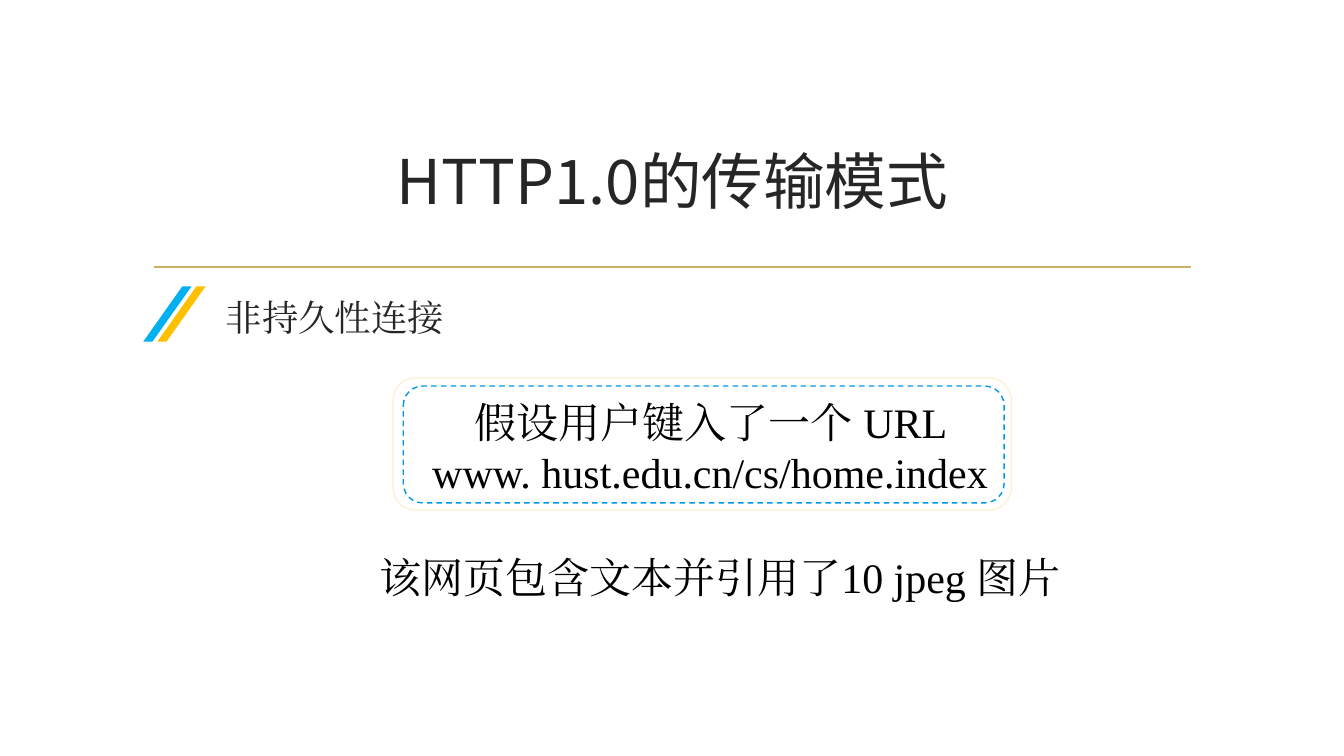
from pptx import Presentation
from pptx.dml.color import RGBColor
from pptx.enum.dml import MSO_LINE
from pptx.enum.shapes import MSO_CONNECTOR, MSO_SHAPE
from pptx.enum.text import MSO_ANCHOR, PP_ALIGN
from pptx.oxml.ns import qn
from pptx.util import Inches, Pt
from lxml import etree

STRAIGHT = MSO_CONNECTOR.STRAIGHT
SLANT, ROUNDED = MSO_SHAPE.PARALLELOGRAM, MSO_SHAPE.ROUNDED_RECTANGLE
DASH = MSO_LINE.DASH
TOP, MIDDLE = MSO_ANCHOR.TOP, MSO_ANCHOR.MIDDLE
LEFT, CENTER = PP_ALIGN.LEFT, PP_ALIGN.CENTER

COLORS = {"ink": "262626", "black": "000000", "white": "FFFFFF", "gold": "CBAF62",
          "blue": "00B0F0", "amber": "FFC000", "cream": "FEF1D6", "dash": "0096EF"}
SANS, SERIF = "Noto Sans CJK SC", "Times New Roman"


def color(name):
    """Return the named palette colour."""
    return RGBColor.from_string(COLORS[name])


def add_text(page, box, text, size, ink="black", font=SERIF, align=CENTER, anchor=TOP):
    """Write one wrapped paragraph in the given box."""
    frame = page.shapes.add_textbox(*map(Inches, box)).text_frame
    frame.word_wrap = True
    frame.vertical_anchor = anchor
    para = frame.paragraphs[0]
    para.alignment = align
    span = para.add_run()
    span.text = text
    for name, value in {"size": Pt(size), "name": font}.items():
        setattr(span.font, name, value)
    span.font.color.rgb = color(ink)
    east_asian = etree.SubElement(span.font._element, qn("a:ea"))
    east_asian.set("typeface", font)


def add_panel(page, kind, box, fill=None, outline=None, dash=None, adjustment=None):
    """Draw a preset shape with a plain fill and outline."""
    panel = page.shapes.add_shape(kind, *map(Inches, box))
    panel.shadow.inherit = False
    if adjustment is not None:
        panel.adjustments[0] = adjustment
    if fill:
        panel.fill.solid()
        panel.fill.fore_color.rgb = color(fill)
    else:
        panel.fill.background()
    if outline:
        panel.line.color.rgb = color(outline)
        panel.line.width = Pt(1)
        panel.line.dash_style = dash
    else:
        panel.line.fill.background()


def add_title(page, box):
    """Place the title with the gold rule below it."""
    left, top, width, height = box
    rule_top = top + height + 0.15
    rule = page.shapes.add_connector(STRAIGHT, Inches(left + 0.11), Inches(rule_top),
                                     Inches(left + width - 0.11), Inches(rule_top))
    rule.line.color.rgb = color("gold")
    rule.line.width = Pt(1.25)
    etree.SubElement(rule._element.spPr, qn("a:effectLst"))
    add_text(page, box, "HTTP1.0的传输模式", 44, "ink", SANS, anchor=MIDDLE)


def add_heading(page, box):
    """Place the section heading behind two slanted bars."""
    left, top, width, height = box
    for index, fill in enumerate(("blue", "amber")):
        add_panel(page, SLANT, (left + 0.14 * index, top, 0.48, height), fill, adjustment=0.81)
    add_text(page, (left + 0.72, top + 0.04, width - 0.72, height), "非持久性连接", 26,
             "ink", align=LEFT)


def add_address(page, box):
    """Place the typed address in a double rounded frame."""
    left, top, width, height = box
    add_panel(page, ROUNDED, box, "white", "cream")
    add_text(page, (left + 0.23, top + 0.13, width - 0.3, height - 0.2),
             "假设用户键入了一个 URL www. hust.edu.cn/cs/home.index", 30)
    add_panel(page, ROUNDED, (left + 0.1, top + 0.08, width - 0.17, height - 0.15),
              outline="dash", dash=DASH)


def main():
    """Build and save the slide."""
    deck = Presentation()
    deck.slide_width, deck.slide_height = Inches(13.33), Inches(7.5)
    page = deck.slides.add_slide(deck.slide_layouts[6])
    add_title(page, (1.42, 1.07, 10.5, 1.43))
    add_heading(page, (1.42, 2.84, 3.3, 0.55))
    add_address(page, (3.9, 3.75, 6.13, 1.31))
    add_text(page, (3.54, 5.42, 7.2, 0.61), "该网页包含文本并引用了10 jpeg 图片", 30)
    deck.save("out.pptx")


if __name__ == "__main__":
    main()
